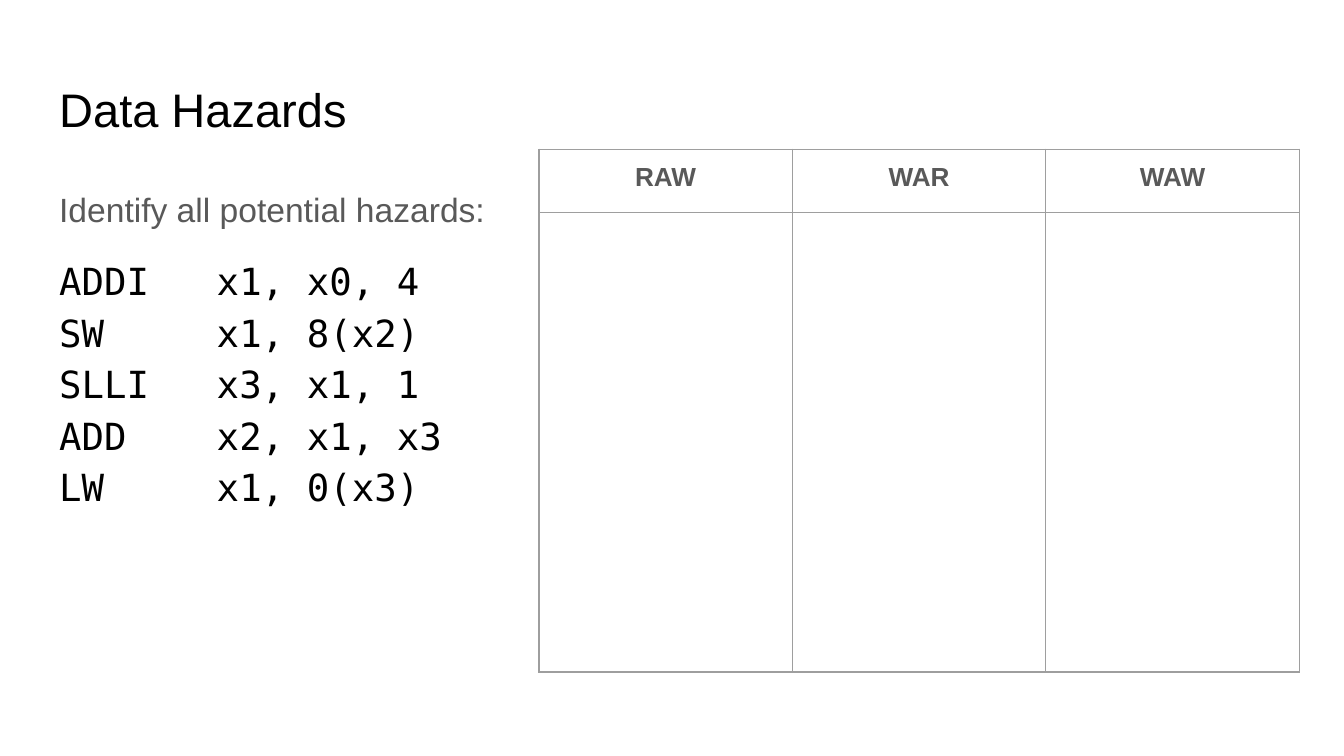
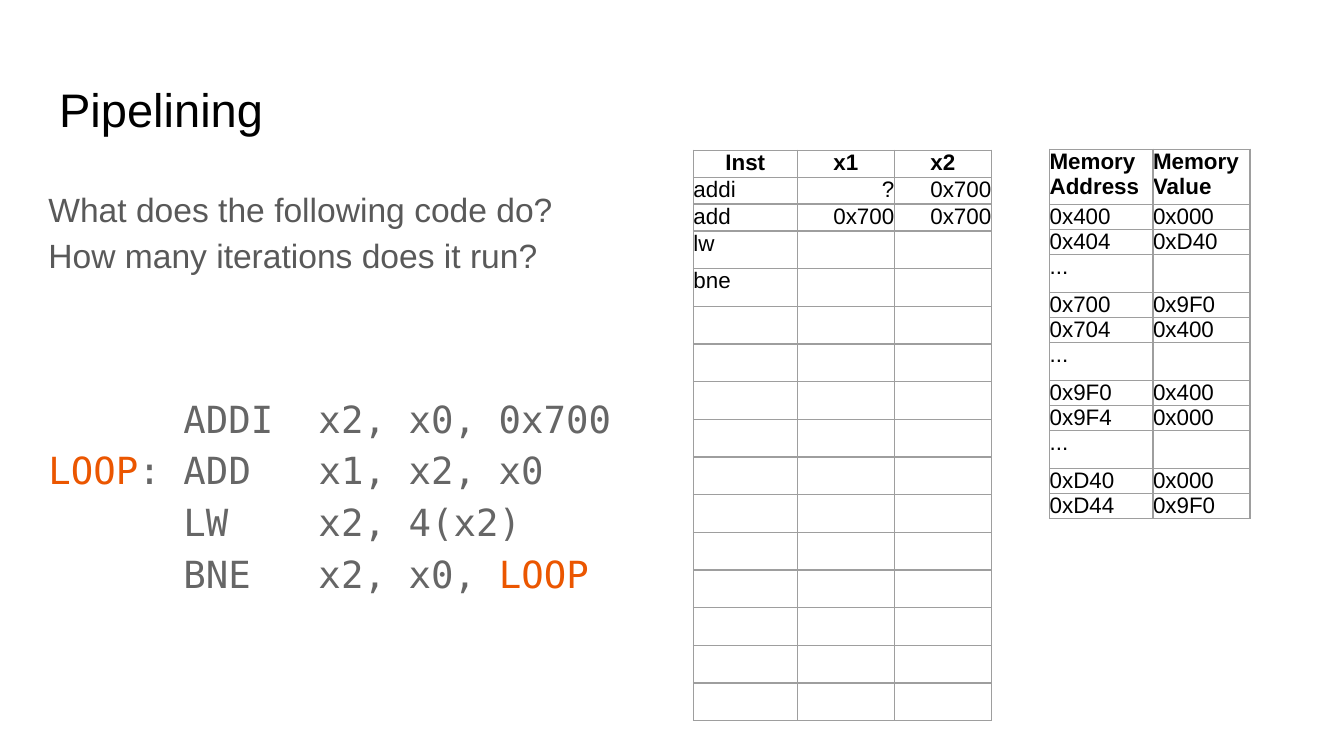
from lxml import etree
from pptx import Presentation
from pptx.dml.color import RGBColor
from pptx.enum import text as t
from pptx.oxml import ns
from pptx.util import Pt

COLORS = {"title": "000000", "prompt": "595959", "code": "666666",
          "label": "EB5600", "ink": "000000", "border": "9E9E9E"}
SANS, MONO = "Arial", "DejaVu Sans Mono"
LEFT, CENTER, RIGHT = t.PP_ALIGN.LEFT, t.PP_ALIGN.CENTER, t.PP_ALIGN.RIGHT
INSET = 7.2
TITLE_BOX = (24.5, 35.3, 671, 45.4)
TEXT_ROW, EMPTY_ROW = 13.3, 20.2

HAZARD_CODE = ["ADDI   x1, x0, 4",
               "SW     x1, 8(x2)",
               "SLLI   x3, x1, 1",
               "ADD    x2, x1, x3",
               "LW     x1, 0(x3)"]
LOOP_CODE = ["      ADDI  x2, x0, 0x700",
             "LOOP: ADD   x1, x2, x0",
             "      LW    x2, 4(x2)",
             "      BNE   x2, x0, LOOP"]
TRACE = [["Inst", "x1", "x2"], ["addi", "?", "0x700"],
         ["add", "0x700", "0x700"], ["lw", "", ""], ["bne", "", ""]]
TRACE += [["", "", ""] for _ in range(11)]
MEMORY = [["Memory Address", "Memory Value"],
          ["0x400", "0x000"], ["0x404", "0xD40"], ["...", ""],
          ["0x700", "0x9F0"], ["0x704", "0x400"], ["...", ""],
          ["0x9F0", "0x400"], ["0x9F4", "0x000"], ["...", ""],
          ["0xD40", "0x000"], ["0xD44", "0x9F0"]]


def write(paragraph, content, size=12, font=SANS, color="ink", bold=False,
          align=LEFT, spacing=1.0, before=0, label=None):
    properties = paragraph._p.get_or_add_pPr()
    properties.set("marL", "0")
    properties.set("indent", "0")
    etree.SubElement(properties, ns.qn("a:buNone"))
    paragraph.alignment = align
    paragraph.line_spacing = spacing
    paragraph.space_before = Pt(before)
    paragraph.space_after = Pt(0)
    pieces = [(content, color)]
    if label and label in content:
        head, _, tail = content.partition(label)
        pieces = [(head, color), (label, "label"), (tail, color)]
    for piece, shade in pieces:
        if piece:
            run = paragraph.add_run()
            run.text = piece
            run.font.size = Pt(size)
            run.font.name = font
            run.font.bold = bold
            run.font.color.rgb = RGBColor.from_string(COLORS[shade])
    if not content:
        etree.SubElement(paragraph._p, ns.qn("a:endParaRPr"), sz=str(size * 100))


def place(shape, box, anchor):
    shape.left, shape.top, shape.width, shape.height = map(Pt, box)
    frame = shape.text_frame
    frame.word_wrap = True
    frame.auto_size = t.MSO_AUTO_SIZE.NONE
    frame.vertical_anchor = anchor
    frame.margin_left = frame.margin_right = Pt(INSET)
    frame.margin_top = frame.margin_bottom = Pt(INSET)
    return frame


def add_titled_slide(presentation, title):
    slide = presentation.slides.add_slide(presentation.slide_layouts[1])
    frame = place(slide.shapes.title, TITLE_BOX, t.MSO_ANCHOR.MIDDLE)
    write(frame.paragraphs[0], title, size=25.2, color="title")
    return slide


def fill_body(slide, box, prompts, code, code_color, gap, label=None):
    frame = place(slide.placeholders[1], box, t.MSO_ANCHOR.TOP)
    lines = [(line, dict(size=18, color="prompt")) for line in prompts]
    lines += [(line, dict(size=20, font=MONO, color=code_color, label=label,
                          before=0 if index else gap))
              for index, line in enumerate(code)]
    for index, (line, style) in enumerate(lines):
        paragraph = frame.add_paragraph() if index else frame.paragraphs[0]
        write(paragraph, line, spacing=1.15, **style)


def outline(cell):
    properties = cell._tc.get_or_add_tcPr()
    for side in ("lnL", "lnR", "lnT", "lnB"):
        line = etree.SubElement(properties, ns.qn("a:" + side), w=str(Pt(0.75)))
        fill = etree.SubElement(line, ns.qn("a:solidFill"))
        etree.SubElement(fill, ns.qn("a:srgbClr"), val=COLORS["border"])


def add_grid(slide, left, top, widths, heights, rows, inset=0,
             header_align=CENTER, value_align=LEFT, header=None):
    table = slide.shapes.add_table(len(rows), len(widths), Pt(left), Pt(top),
                                   Pt(sum(widths)), Pt(sum(heights))).table
    table.first_row = table.horz_banding = False
    for column, width in zip(table.columns, widths):
        column.width = Pt(width)
    for r, (row, height) in enumerate(zip(rows, heights)):
        table.rows[r].height = Pt(height)
        for c, content in enumerate(row):
            cell = table.cell(r, c)
            cell.margin_left = cell.margin_right = Pt(inset)
            cell.margin_top = cell.margin_bottom = Pt(inset)
            outline(cell)
            cell.fill.background()
            if r == 0:
                style = dict(bold=True, align=header_align, **(header or {}))
            else:
                style = dict(align=value_align if c else LEFT)
            write(cell.text_frame.paragraphs[0], content, **style)


def row_heights(rows, header, filled):
    return [header] + [filled if all(row) else EMPTY_ROW for row in rows[1:]]


def build_hazards(presentation):
    slide = add_titled_slide(presentation, "Data Hazards")
    fill_body(slide, (24.5, 90.7, 335.5, 269.3),
              ["Identify all potential hazards:"], HAZARD_CODE, "ink", gap=12)
    add_grid(slide, 288.7, 80, [135.8] * 3, [33.8, 246.2],
             [["RAW", "WAR", "WAW"], ["", "", ""]], inset=INSET,
             header=dict(size=14, color="prompt"))


def build_pipelining(presentation):
    slide = add_titled_slide(presentation, "Pipelining")
    fill_body(slide, (18.7, 90.7, 335.5, 313.9),
              ["What does the following code do?",
               "How many iterations does it run?"],
              LOOP_CODE, "code", gap=61, label="LOOP")
    add_grid(slide, 562.3, 80, [55.4, 52], row_heights(MEMORY, 29.5, TEXT_ROW),
             MEMORY, header_align=LEFT)
    add_grid(slide, 371.5, 80.5, [55.6, 52, 52], row_heights(TRACE, 14.4, 14.4),
             TRACE, value_align=RIGHT)


def main():
    presentation = Presentation()
    presentation.slide_width, presentation.slide_height = Pt(720), Pt(405)
    build_hazards(presentation)
    build_pipelining(presentation)
    presentation.save("out.pptx")


if __name__ == "__main__":
    main()
